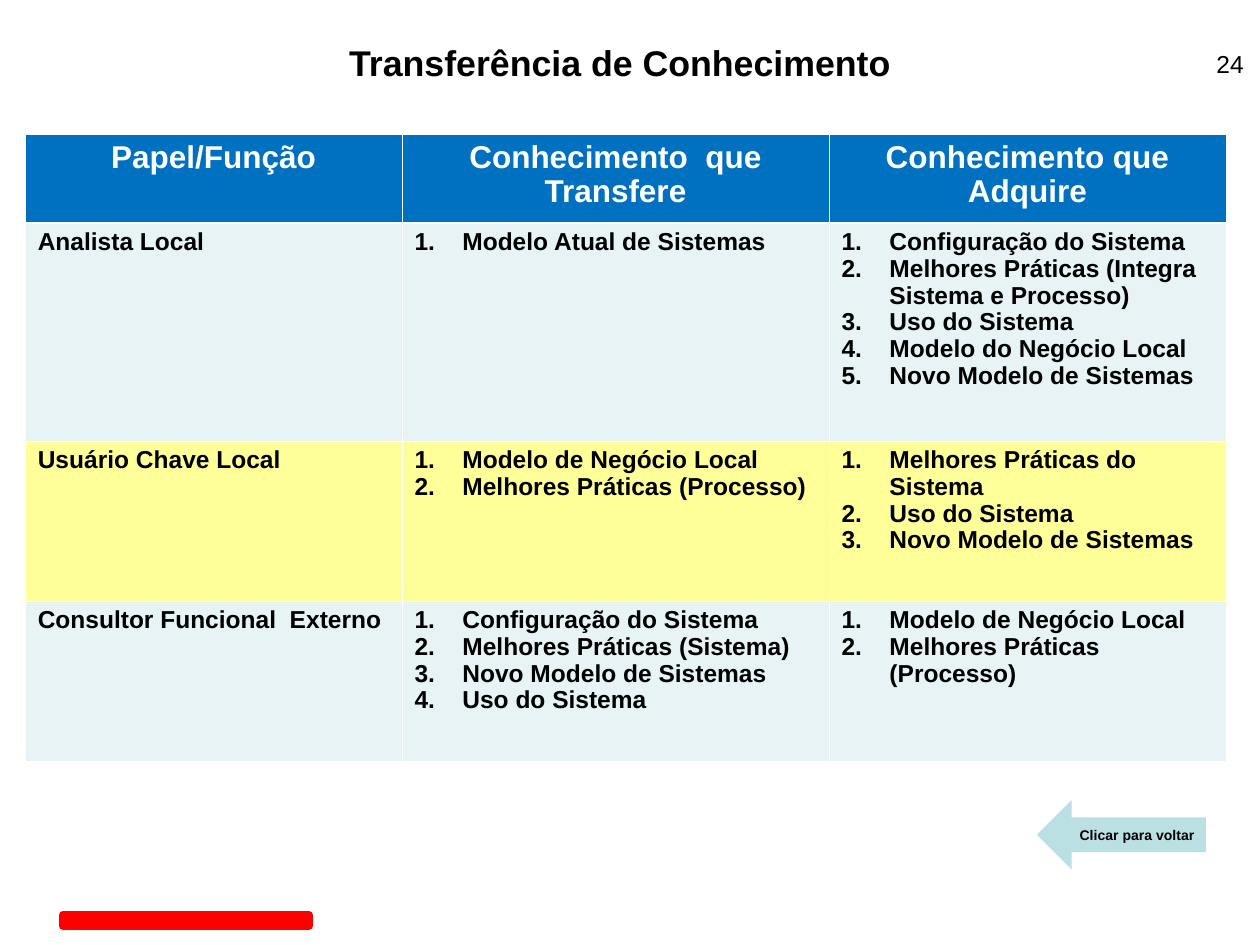
from pptx import Presentation
from pptx import util as u
from pptx.dml import color
from pptx.enum import shapes, text
from pptx.oxml import ns
from lxml import etree

Inches, Pt = u.Inches, u.Pt
COLORS = {"black": "000000", "white": "FFFFFF", "header": "0070C0", "ice": "E7F3F4",
          "yellow": "FFFF99", "arrow": "BBE0E3", "red": "FF0000"}
HEADERS = ["Papel/Função", "Conhecimento  que Transfere", "Conhecimento que Adquire"]
ROLES = [
    ("Analista Local", ["Modelo Atual de Sistemas"],
     ["Configuração do Sistema", "Melhores Práticas (Integra Sistema e Processo)",
      "Uso do Sistema", "Modelo do Negócio Local", "Novo Modelo de Sistemas"]),
    ("Usuário Chave Local", ["Modelo de Negócio Local", "Melhores Práticas (Processo)"],
     ["Melhores Práticas do Sistema", "Uso do Sistema", "Novo Modelo de Sistemas"]),
    ("Consultor Funcional  Externo",
     ["Configuração do Sistema", "Melhores Práticas (Sistema)",
      "Novo Modelo de Sistemas", "Uso do Sistema"],
     ["Modelo de Negócio Local", "Melhores Práticas (Processo)"]),
]


def rgb(name):
    return color.RGBColor.from_string(COLORS[name])


def add_run(p, words, size, bold=True, ink="black"):
    r = p.add_run()
    r.text = words
    r.font.name, r.font.size, r.font.bold = "Arial", Pt(size), bold
    r.font.color.rgb = rgb(ink)


def number_paragraph(p):
    pPr = p._p.get_or_add_pPr()
    pPr.set("marL", str(Inches(0.38)))
    pPr.set("indent", str(Inches(-0.38)))
    etree.SubElement(pPr, ns.qn("a:buFont"), typeface="Arial")
    etree.SubElement(pPr, ns.qn("a:buAutoNum"), type="arabicPeriod")


def set_borders(cell, widths):
    tcPr = cell._tc.get_or_add_tcPr()
    for i, (side, width) in enumerate(zip(("lnL", "lnR", "lnT", "lnB"), widths)):
        ln = etree.Element(ns.qn("a:" + side), w=str(Pt(width)))
        fill = etree.SubElement(ln, ns.qn("a:solidFill"))
        etree.SubElement(fill, ns.qn("a:srgbClr"), val=COLORS["white"])
        tcPr.insert(i, ln)


def fill_cell(cell, items, fill, size=14, ink="black", align=None, numbered=False):
    cell.fill.solid()
    cell.fill.fore_color.rgb = rgb(fill)
    tf = cell.text_frame
    for i, item in enumerate(items):
        p = tf.add_paragraph() if i else tf.paragraphs[0]
        if numbered:
            number_paragraph(p)
        p.line_spacing = 0.97
        p.alignment = align
        add_run(p, item, size, ink=ink)


def add_title(slide, box):
    sp = slide.shapes.title
    sp.left, sp.top, sp.width, sp.height = map(Inches, box)
    tf = sp.text_frame
    tf.auto_size = text.MSO_AUTO_SIZE.NONE
    tf.vertical_anchor = text.MSO_ANCHOR.MIDDLE
    p = tf.paragraphs[0]
    p.alignment = text.PP_ALIGN.CENTER
    add_run(p, "Transferência de Conhecimento", 20.4)


def add_label(slide, box, words, size, bold, align, wrap):
    tf = slide.shapes.add_textbox(*map(Inches, box)).text_frame
    tf.word_wrap = wrap
    p = tf.paragraphs[0]
    p.alignment = align
    add_run(p, words, size, bold)


def add_knowledge_table(slide, box):
    table = slide.shapes.add_table(len(ROLES) + 1, len(HEADERS), *map(Inches, box)).table
    for col, width in zip(table.columns, (2.99, 3.39, 3.15)):
        col.width = Inches(width)
    for row, height in zip(table.rows, (0.7, 1.73, 1.27, 1.27)):
        row.height = Inches(height)
    for c, header in enumerate(HEADERS):
        fill_cell(table.cell(0, c), [header], "header", 18, "white", text.PP_ALIGN.CENTER)
        set_borders(table.cell(0, c), (0.45, 0.45, 0.45, 1.47))
    for r, (role, gives, gains) in enumerate(ROLES, 1):
        for c, items in enumerate(([role], gives, gains)):
            cell = table.cell(r, c)
            fill_cell(cell, items, "ice" if r % 2 else "yellow", numbered=c > 0)
            set_borders(cell, (0.45, 0.45, 1.47 if r == 1 else 0.45, 0.45))


def add_block(slide, kind, box, fill):
    sp = slide.shapes.add_shape(kind, *map(Inches, box))
    sp.shadow.inherit = False
    sp.fill.solid()
    sp.fill.fore_color.rgb = rgb(fill)
    sp.line.fill.background()
    return sp


def add_footer_bar(slide, box):
    sp = add_block(slide, shapes.MSO_SHAPE.RECTANGLE, box, "red")
    sp.line.color.rgb = rgb("red")
    sp.line.width = Pt(4.5)


def add_back_arrow(slide, box):
    left, top, width, height = box
    add_block(slide, shapes.MSO_SHAPE.LEFT_ARROW, box, "arrow")
    add_label(slide, (left + 0.24, top + 0.16, 1.11, 0.24), "Clicar para voltar",
              8, True, text.PP_ALIGN.LEFT, False)


def main():
    prs = Presentation()
    prs.slide_width, prs.slide_height = Inches(10), Inches(7.5)
    slide = prs.slides.add_slide(prs.slide_layouts[5])
    add_footer_bar(slide, (0.5, 7.26, 1.95, 0.09))
    add_label(slide, (7.64, 0.34, 2.33, 0.52), "24", 14, False, text.PP_ALIGN.RIGHT, True)
    add_title(slide, (0.39, 0.28, 9.06, 0.43))
    add_knowledge_table(slide, (0.2, 1.07, 9.53, 4.97))
    add_back_arrow(slide, (8.23, 6.35, 1.34, 0.55))
    prs.save("out.pptx")


if __name__ == "__main__":
    main()
